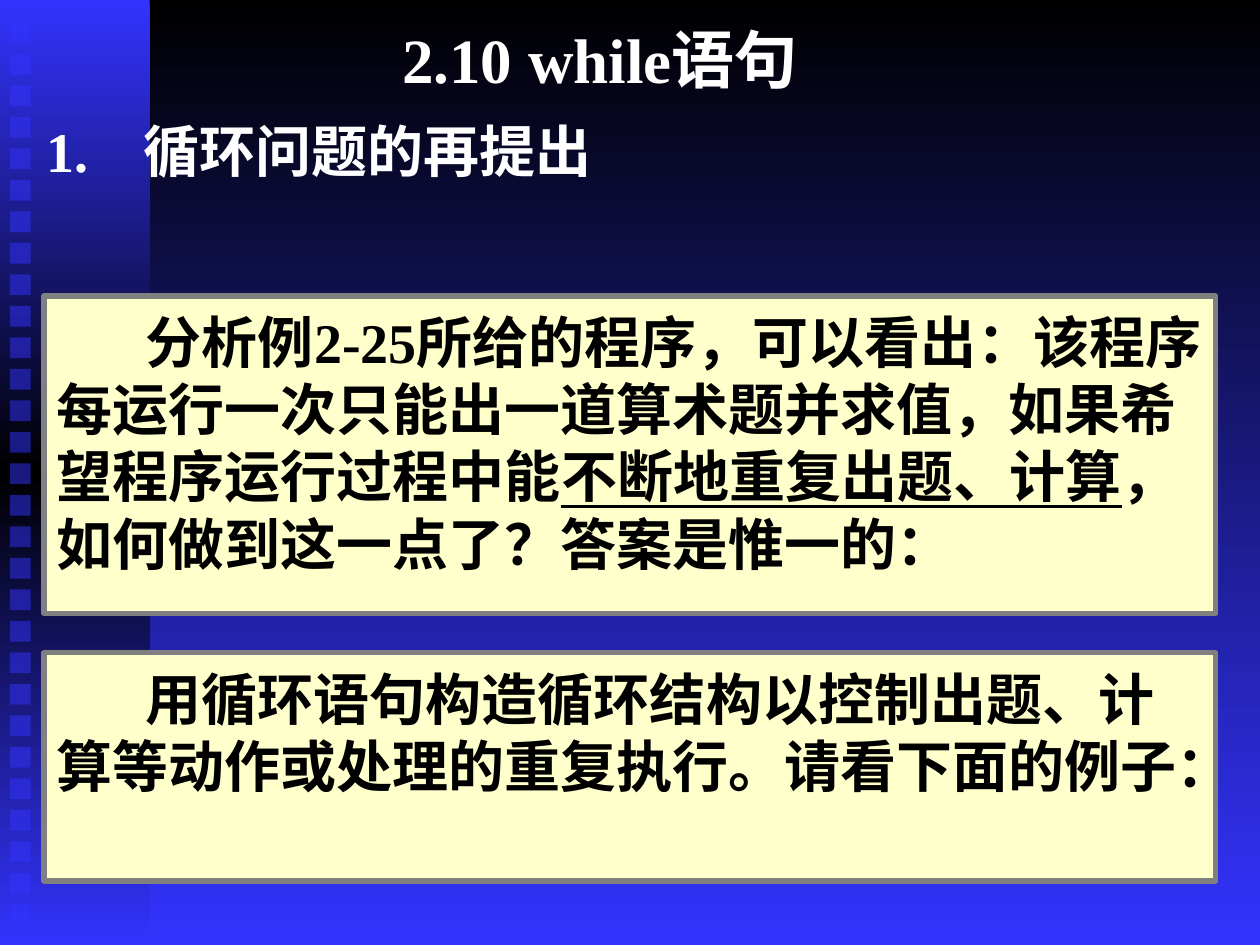
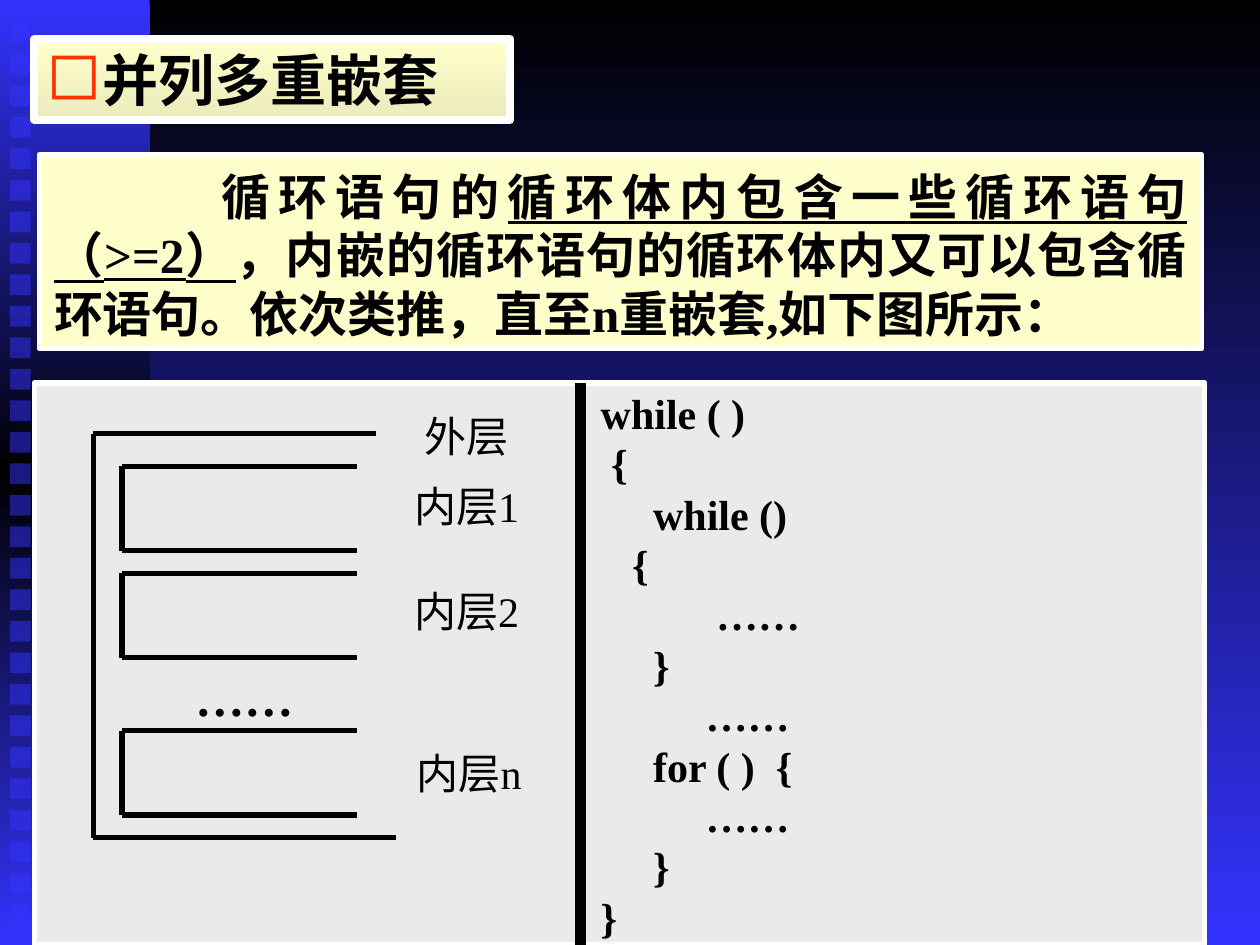
from dataclasses import dataclass
from typing import Any, Optional

from lxml.etree import SubElement
from pptx import Presentation
from pptx.dml.color import RGBColor
from pptx.enum.lang import MSO_LANGUAGE_ID
from pptx.enum.shapes import MSO_CONNECTOR, MSO_SHAPE
from pptx.enum.text import MSO_ANCHOR, MSO_AUTO_SIZE, PP_ALIGN
from pptx.oxml.ns import qn
from pptx.util import Cm, Pt


@dataclass(frozen=True)
class Theme:
    font: str = "Times New Roman"
    ink: str = "000000"
    white: str = "FFFFFF"
    blue: str = "3333FF"
    cream: str = "FFFFCC"
    cream_dark: str = "EBEBBC"
    grey: str = "808080"
    panel: str = "EAEAEA"
    bullet: str = "FF3300"
    title_size: int = 36
    heading_size: int = 32
    note_size: int = 28
    code_size: int = 24


@dataclass(frozen=True)
class Box:
    """Position and size in centimetres."""
    left: float
    top: float
    width: float
    height: float

    def lengths(self) -> dict[str, Cm]:
        return {name: Cm(getattr(self, name))
                for name in ("left", "top", "width", "height")}


@dataclass(frozen=True)
class Panel:
    box: Box
    fill: str
    line: str
    weight: float = 3


@dataclass(frozen=True)
class Note:
    """A panel with one paragraph; runs pair a text with its underline."""
    panel: Panel
    runs: list[tuple[str, bool]]
    size: int
    indent: float
    side_inset: float = 0.25
    align: PP_ALIGN = PP_ALIGN.LEFT


@dataclass(frozen=True)
class Bracket:
    """A loop drawn as a spine with an upper and a lower arm."""
    left: float
    top: float
    bottom: float
    upper_right: float
    lower_right: float


@dataclass(frozen=True)
class Label:
    text: str
    box: Box
    size: int = 24
    bold: bool = False


T = Theme()

ANALYSIS = Note(
    Panel(Box(0.89, 5.97, 23.62, 6.4), T.cream, T.grey),
    [("分析例2-25所给的程序，可以看出：该程序每运行一次只能出一道算术题并求值，"
      "如果希望程序运行过程中能", False),
     ("不断地重复出题、计算", True),
     ("，如何做到这一点了？答案是惟一的：", False)],
    T.heading_size, 1.8)
ANSWER = Note(
    Panel(Box(0.89, 13.16, 23.62, 4.6), T.cream, T.grey),
    [("用循环语句构造循环结构以控制出题、计算等动作或处理的重复执行。"
      "请看下面的例子：", False)],
    T.heading_size, 1.8)
NESTING = Note(
    Panel(Box(0.79, 3.12, 23.44, 3.91), T.cream, T.white),
    [("循环语句的", False),
     ("循环体内包含一些循环语句（>=2）", True),
     ("，内嵌的循环语句的循环体内又可以包含循环语句。依次类推，"
      "直至n重嵌套,如下图所示：", False)],
    T.note_size, 3.37, 0.3, PP_ALIGN.JUSTIFY)

DIAGRAM = Panel(Box(0.69, 7.72, 23.6, 11.33), T.panel, T.white)
INNER_HEIGHT = 1.7
BRACKETS = [Bracket(1.88, 8.74, 16.89, 7.57, 7.98)] + [
    Bracket(2.46, top, top + INNER_HEIGHT, 7.19, 7.19)
    for top in (9.4, 11.56, 14.73)]
LABELS = [
    Label("……", Box(2.46, 13.72, 4.93, 0.66), T.note_size, True),
    *(Label(text, Box(left, top, 3.18, 1.27), T.code_size)
      for text, left, top in (("外层", 7.82, 8.15), ("内层1", 7.82, 9.55),
                              ("内层2", 7.82, 11.68), ("内层n", 7.87, 14.94))),
]
CODE = """\
while ( )
 {
     while ()
   {
           ……
     }
          ……
     for ( )  {
          ……
     }
}"""


def assign(target: Any, values: dict[str, Any]) -> None:
    for name, value in values.items():
        setattr(target, name, value)


def set_gradient(fill: Any, root: Any, stops: list[tuple[int, str]]) -> None:
    """Fill from top to bottom; root is the element that holds the fill."""
    fill.gradient()
    fill.gradient_angle = 270
    stop_list = root.find(".//" + qn("a:gsLst"))
    for gs in list(stop_list):
        stop_list.remove(gs)
    for percent, colour in stops:
        gs = SubElement(stop_list, qn("a:gs"), pos=str(percent * 1000))
        SubElement(gs, qn("a:srgbClr"), val=colour)


def set_solid(fill: Any, colour: str) -> None:
    fill.solid()
    fill.fore_color.rgb = RGBColor.from_string(colour)


def set_line(line: Any, colour: str, weight: float) -> None:
    set_solid(line.fill, colour)
    line.width = Pt(weight)


def set_frame(tf: Any, anchor: MSO_ANCHOR = MSO_ANCHOR.MIDDLE, side: float = 0.25,
              top: float = 0.13, wrap: bool = True) -> None:
    assign(tf, {"word_wrap": wrap, "auto_size": MSO_AUTO_SIZE.NONE,
                "vertical_anchor": anchor, "margin_left": Cm(side),
                "margin_right": Cm(side), "margin_top": Cm(top),
                "margin_bottom": Cm(0.13)})


def add_run(p: Any, text: str, size: int, colour: str = T.ink,
            bold: bool = True, underline: bool = False) -> None:
    r = p.add_run()
    r.text = text
    assign(r.font, {"name": T.font, "size": Pt(size), "bold": bold,
                    "underline": underline or None,
                    "language_id": MSO_LANGUAGE_ID.SIMPLIFIED_CHINESE})
    r.font.color.rgb = RGBColor.from_string(colour)


def add_rect(s: Any, box: Box) -> Any:
    sp = s.shapes.add_shape(MSO_SHAPE.RECTANGLE, **box.lengths())
    sp.shadow.inherit = False
    return sp


def add_panel(s: Any, panel: Panel) -> Any:
    sp = add_rect(s, panel.box)
    set_solid(sp.fill, panel.fill)
    set_line(sp.line, panel.line, panel.weight)
    return sp


def add_note(s: Any, note: Note) -> None:
    tf = add_panel(s, note.panel).text_frame
    set_frame(tf, MSO_ANCHOR.TOP, note.side_inset, 0.23)
    p = tf.paragraphs[0]
    p.alignment = note.align
    p._p.get_or_add_pPr().set("indent", str(Cm(note.indent)))
    for text, underline in note.runs:
        add_run(p, text, note.size, underline=underline)


def add_line(s: Any, x1: float, y1: float, x2: float, y2: float,
             weight: float = 3) -> None:
    cx = s.shapes.add_connector(MSO_CONNECTOR.STRAIGHT,
                                Cm(x1), Cm(y1), Cm(x2), Cm(y2))
    set_line(cx.line, T.ink, weight)
    SubElement(cx.element.spPr, qn("a:effectLst"))


def add_bracket(s: Any, b: Bracket) -> None:
    add_line(s, b.left, b.top, b.upper_right, b.top)
    add_line(s, b.left, b.top, b.left, b.bottom)
    add_line(s, b.left, b.bottom, b.lower_right, b.bottom)


def add_label(s: Any, label: Label) -> None:
    tf = s.shapes.add_textbox(**label.box.lengths()).text_frame
    set_frame(tf, wrap=False)
    p = tf.paragraphs[0]
    p.alignment = PP_ALIGN.CENTER
    add_run(p, label.text, label.size, bold=label.bold)


def place_title(s: Any, box: Box, text: str, size: int, colour: str,
                align: PP_ALIGN, bullet: Optional[str] = None) -> Any:
    sp = s.shapes.title
    assign(sp, box.lengths())
    set_frame(sp.text_frame)
    p = sp.text_frame.paragraphs[0]
    p.alignment = align
    if bullet:
        pPr = p._p.get_or_add_pPr()
        pPr.set("marL", str(Cm(1.1)))
        pPr.set("indent", str(Cm(-1.1)))
        SubElement(SubElement(pPr, qn("a:buClr")), qn("a:srgbClr"), val=T.bullet)
        SubElement(pPr, qn("a:buSzPct"), val="120000")
        SubElement(pPr, qn("a:buChar"), char=bullet)
    add_run(p, text, size, colour)
    return sp


def build_master(prs: Any, s: Any) -> None:
    """Draw the shared band on a slide, then move it to the master."""
    master = prs.slide_master
    set_gradient(master.background.fill, master.element,
                 [(0, T.ink), (100, T.blue)])
    band = add_rect(s, Box(0, 0, 3.02, 19.05))
    set_gradient(band.fill, band.element,
                 [(0, T.blue), (50, T.ink), (100, T.blue)])
    parts = [band]

    # Column of half-transparent squares
    count, first, last = 29, 0.45, 18.23
    for i in range(count):
        top = first + i * (last - first) / (count - 1)
        sp = add_rect(s, Box(0.2, top, 0.42, 0.42))
        set_solid(sp.fill, T.blue)
        colour = sp.element.spPr.find(".//" + qn("a:srgbClr"))
        SubElement(colour, qn("a:alpha"), val="50000")
        parts.append(sp)

    for i, sp in enumerate(parts):
        sp.line.fill.background()
        sp.element.nvSpPr.cNvPr.set("id", str(100 + i))
        master.shapes.element.insert(2 + i, sp.element)


def build_while_slide(s: Any) -> None:
    place_title(s, Box(1.3, 0, 21.59, 2.34), "2.10 while语句",
                T.title_size, T.white, PP_ALIGN.CENTER)

    # Numbered heading
    tf = s.shapes.add_textbox(**Box(0.69, 2.21, 17.78, 1.7).lengths()).text_frame
    set_frame(tf, MSO_ANCHOR.TOP)
    p = tf.paragraphs[0]
    tabs = SubElement(p._p.get_or_add_pPr(), qn("a:tabLst"))
    SubElement(tabs, qn("a:tab"), pos=str(Cm(1.96)), algn="l")
    add_run(p, "1.\t循环问题的再提出", T.heading_size, T.white)

    for note in (ANALYSIS, ANSWER):
        add_note(s, note)


def build_nesting_slide(s: Any) -> None:
    sp = place_title(s, Box(0.69, 0.79, 9.6, 1.63), "并列多重嵌套",
                     T.heading_size, T.ink, PP_ALIGN.LEFT, "◻")
    set_gradient(sp.fill, sp.element, [(0, T.cream), (100, T.cream_dark)])
    set_line(sp.line, T.white, 4.5)
    add_note(s, NESTING)

    # Loop diagram
    add_panel(s, DIAGRAM)
    for bracket in BRACKETS:
        add_bracket(s, bracket)
    for label in LABELS:
        add_label(s, label)
    add_line(s, 11.7, 7.72, 11.7, 19.05, 6)

    # Code
    tf = s.shapes.add_textbox(**Box(11.86, 7.92, 12.04, 10.95).lengths()).text_frame
    set_frame(tf)
    for i, line in enumerate(CODE.splitlines()):
        p = tf.add_paragraph() if i else tf.paragraphs[0]
        add_run(p, line, T.code_size)


def main() -> None:
    prs = Presentation()
    assign(prs, {"slide_width": Cm(25.4), "slide_height": Cm(19.05)})
    title_only = prs.slide_layouts[5]
    slides = [prs.slides.add_slide(title_only) for _ in range(2)]
    build_master(prs, slides[0])
    build_while_slide(slides[0])
    build_nesting_slide(slides[1])
    prs.save("out.pptx")


if __name__ == "__main__":
    main()
